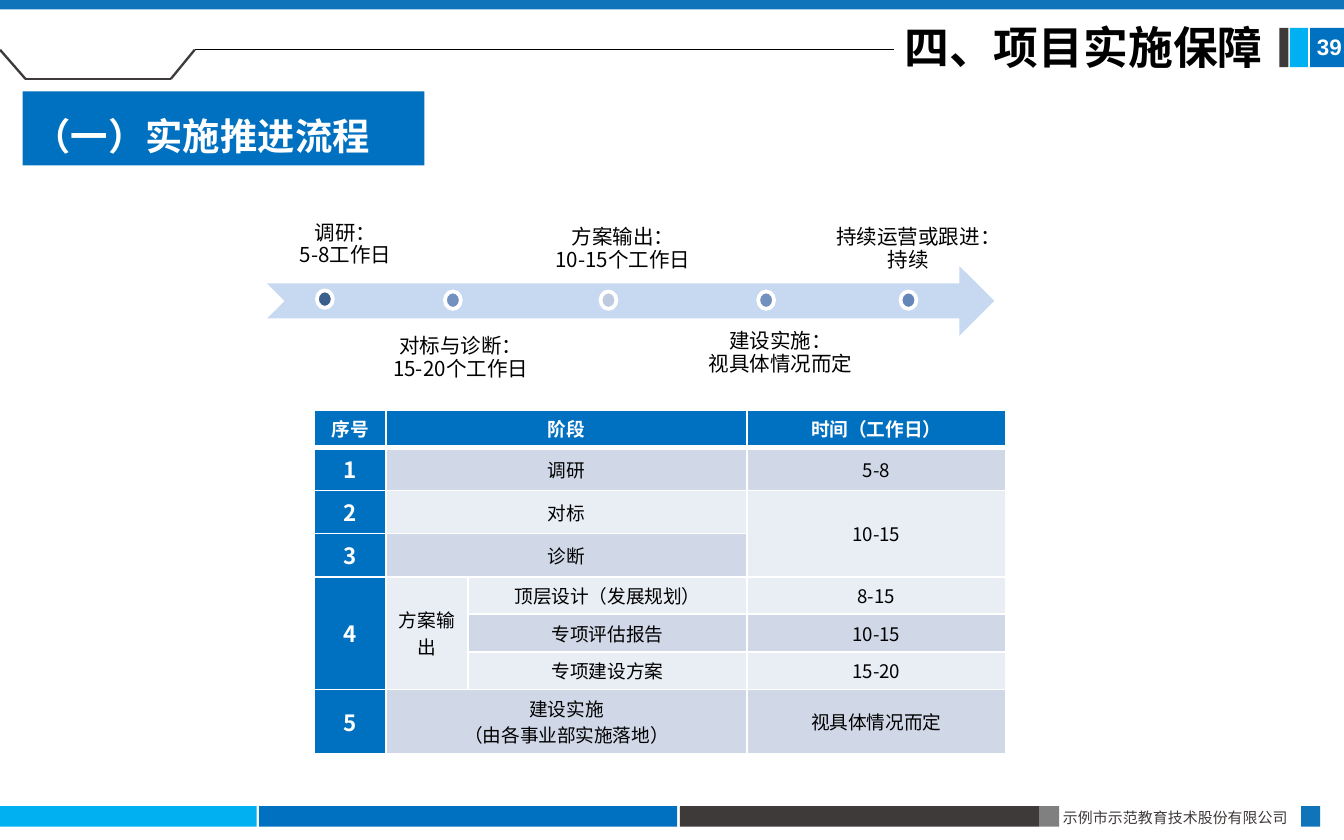
from dataclasses import dataclass
from typing import NamedTuple, Optional

from pptx import Presentation
from pptx.dml.color import RGBColor
from pptx.enum.shapes import MSO_CONNECTOR, MSO_SHAPE
from pptx.enum.text import MSO_ANCHOR, MSO_AUTO_SIZE, PP_ALIGN
from pptx.oxml.ns import qn
from pptx.util import Cm, Pt
from lxml import etree

RECT, OVAL, ARROW = MSO_SHAPE.RECTANGLE, MSO_SHAPE.OVAL, MSO_SHAPE.NOTCHED_RIGHT_ARROW
STRAIGHT = MSO_CONNECTOR.STRAIGHT
TOP, MIDDLE, BOTTOM = MSO_ANCHOR.TOP, MSO_ANCHOR.MIDDLE, MSO_ANCHOR.BOTTOM
LEFT, CENTER, JUSTIFY = PP_ALIGN.LEFT, PP_ALIGN.CENTER, PP_ALIGN.JUSTIFY
TITLE_ONLY = 5


@dataclass(frozen=True)
class Theme:
    font: str = "Noto Sans CJK SC"
    number_font: str = "Arial"
    black: str = "000000"
    white: str = "FFFFFF"
    blue: str = "0070C0"
    edge_blue: str = "1074BB"
    sky: str = "00B0F0"
    dark: str = "3E3A39"
    gray: str = "808080"
    arrow: str = "C6D9F1"
    band: str = "D0D8E8"
    band_light: str = "E9EDF4"
    title: float = 24
    section: float = 20
    number: float = 12
    label: float = 11
    cell: float = 10
    footer: float = 8


T = Theme()


class Box(NamedTuple):
    left: float
    top: float
    width: float
    height: float

    def cm(self) -> list:
        return [Cm(v) for v in self]


class Style(NamedTuple):
    size: float
    color: str = T.black
    bold: bool = False
    font: str = T.font


class Stage(NamedTuple):
    name: str
    time: str
    box: Box
    dot_left: float
    dot_top: float
    color: str
    above: bool


class Entry(NamedTuple):
    row: int
    col: int
    lines: tuple
    fill: str
    rows: int = 1
    cols: int = 1


BARS = [
    (Box(0, 15.24, 4.85, 0.39), T.sky),
    (Box(4.9, 15.24, 7.9, 0.39), T.blue),
    (Box(12.85, 15.24, 6.8, 0.39), T.dark),
    (Box(19.66, 15.24, 0.36, 0.39), T.gray),
    (Box(24.59, 15.24, 0.36, 0.39), T.edge_blue),
    (Box(24.76, 0.53, 0.65, 0.74), T.blue),
    (Box(24.38, 0.53, 0.34, 0.74), T.sky),
    (Box(24.18, 0.53, 0.17, 0.74), T.dark),
    (Box(0, 0, 25.4, 0.18), T.edge_blue),
]
TRAY = [(0, 0.94), (0.48, 1.49), (3.23, 1.49), (3.68, 0.94)]
STAGES = [
    Stage("调研：", "5-8工作日", Box(5.05, 4.06, 2.97, 1.19), 5.99, 5.49, "3A5F8C", True),
    Stage("对标与诊断：", "15-20个工作日", Box(6.88, 6.27, 3.66, 1.17), 8.41, 5.51, "7391BF", False),
    Stage("方案输出：", "10-15个工作日", Box(10.06, 4.01, 3.43, 1.32), 11.35, 5.51, "BECADF", True),
    Stage("建设实施：", "视具体情况而定", Box(13.08, 6.17, 3.35, 1.32), 14.33, 5.51, "7391BF", False),
    Stage("持续运营或跟进：", "持续", Box(15.54, 4.01, 3.25, 1.32), 17.02, 5.51, "6387B9", True),
]
COLS = [1.35, 1.55, 5.28, 4.88]
ROWS = [0.64, 0.71, 0.71, 0.71, 0.64, 0.64, 0.64, 1.07]
ENTRIES = [
    Entry(0, 0, ("序号",), T.blue),
    Entry(0, 1, ("阶段",), T.blue, cols=2),
    Entry(0, 3, ("时间（工作日）",), T.blue),
    Entry(1, 0, ("1",), T.blue),
    Entry(1, 1, ("调研",), T.band, cols=2),
    Entry(1, 3, ("5-8",), T.band),
    Entry(2, 0, ("2",), T.blue),
    Entry(2, 1, ("对标",), T.band_light, cols=2),
    Entry(2, 3, ("10-15",), T.band_light, rows=2),
    Entry(3, 0, ("3",), T.blue),
    Entry(3, 1, ("诊断",), T.band, cols=2),
    Entry(4, 0, ("4",), T.blue, rows=3),
    Entry(4, 1, ("方案输出",), T.band_light, rows=3),
    Entry(4, 2, ("顶层设计（发展规划）",), T.band_light),
    Entry(4, 3, ("8-15",), T.band_light),
    Entry(5, 2, ("专项评估报告",), T.band),
    Entry(5, 3, ("10-15",), T.band),
    Entry(6, 2, ("专项建设方案",), T.band_light),
    Entry(6, 3, ("15-20",), T.band_light),
    Entry(7, 0, ("5",), T.blue),
    Entry(7, 1, ("建设实施", "（由各事业部实施落地）"), T.band, cols=2),
    Entry(7, 3, ("视具体情况而定",), T.band),
]


def rgb(color: str) -> RGBColor:
    return RGBColor.from_string(color)


def write(tf, lines, style: Style, align=LEFT, spacing=None, after=None) -> None:
    for i, text in enumerate(lines):
        p = tf.paragraphs[0] if i == 0 else tf.add_paragraph()
        p.alignment, p.line_spacing = align, spacing
        p.space_before, p.space_after = Pt(0), after
        r = p.add_run()
        r.text = text
        r.font.size, r.font.bold, r.font.name = Pt(style.size), style.bold, style.font
        r.font.color.rgb = rgb(style.color)
        ea = etree.SubElement(r.font._element, qn("a:ea"))
        ea.set("typeface", style.font)


def set_frame(tf, anchor, inset_x: float, inset_y: float, wrap: bool = True) -> None:
    tf.auto_size, tf.word_wrap, tf.vertical_anchor = MSO_AUTO_SIZE.NONE, wrap, anchor
    tf.margin_left = tf.margin_right = Cm(inset_x)
    tf.margin_top = tf.margin_bottom = Cm(inset_y)


def add_text(s, box: Box, anchor=TOP, inset_x=0.2, inset_y=0.1, wrap=True):
    tf = s.shapes.add_textbox(*box.cm()).text_frame
    set_frame(tf, anchor, inset_x, inset_y, wrap)
    return tf


def add_shape(s, kind, box: Box, fill: str, line: Optional[str] = None):
    sp = s.shapes.add_shape(kind, *box.cm())
    sp.shadow.inherit = False
    sp.fill.solid()
    sp.fill.fore_color.rgb = rgb(fill)
    if line:
        sp.line.color.rgb, sp.line.width = rgb(line), Pt(2)
    else:
        sp.line.fill.background()
    return sp


def add_line(s, start, end, color: str, width: float) -> None:
    c = s.shapes.add_connector(STRAIGHT, *(Cm(v) for v in (*start, *end)))
    c.line.color.rgb, c.line.width = rgb(color), Pt(width)
    etree.SubElement(c._element.spPr, qn("a:effectLst"))


def set_borders(cell, row: int) -> None:
    """White rules, heavier between the header row and the body."""
    widths = {"L": 1, "R": 1, "T": 3 if row == 1 else 1, "B": 3 if row == 0 else 1}
    tcPr = cell._tc.get_or_add_tcPr()
    for side, width in widths.items():
        ln = etree.SubElement(tcPr, qn(f"a:ln{side}"), w=str(Pt(width)))
        fill = etree.SubElement(ln, qn("a:solidFill"))
        etree.SubElement(fill, qn("a:srgbClr"), val=T.white)


def add_schedule(s) -> None:
    box = Box(5.94, 7.75, sum(COLS), sum(ROWS))
    table = s.shapes.add_table(len(ROWS), len(COLS), *box.cm()).table
    for column, width in zip(table.columns, COLS):
        column.width = Cm(width)
    for row, height in zip(table.rows, ROWS):
        row.height = Cm(height)
    for e in ENTRIES:
        for i in range(e.row, e.row + e.rows):
            for j in range(e.col, e.col + e.cols):
                cell = table.cell(i, j)
                set_borders(cell, i)
                cell.fill.solid()
                cell.fill.fore_color.rgb = rgb(e.fill)
                cell.vertical_anchor = MIDDLE
                cell.margin_left = cell.margin_right = Cm(0.18)
                cell.margin_top = cell.margin_bottom = Cm(0.1)
        first = table.cell(e.row, e.col)
        if e.rows * e.cols > 1:
            first.merge(table.cell(e.row + e.rows - 1, e.col + e.cols - 1))
        strong = e.fill == T.blue
        size = T.number if strong and e.row else T.cell
        write(first.text_frame, e.lines, Style(size, T.white if strong else T.black, strong), CENTER)


def add_timeline(s) -> None:
    add_shape(s, ARROW, Box(5.05, 5.03, 13.74, 1.32), T.arrow)
    for stage in STAGES:
        tf = add_text(s, stage.box, BOTTOM if stage.above else TOP, inset_y=0.2)
        write(tf, (stage.name, stage.time), Style(T.label), CENTER, Pt(8.4), Pt(3.85))
        add_shape(s, OVAL, Box(stage.dot_left, stage.dot_top, 0.3, 0.33), stage.color, T.white)


def add_page_frame(s) -> None:
    for box, color in BARS:
        add_shape(s, RECT, box, color)
    for start, end in zip(TRAY, TRAY[1:]):
        add_line(s, start, end, T.dark, 1.25)
    add_line(s, TRAY[-1], (16.89, 0.94), T.black, 0.75)
    tf = add_text(s, Box(19.84, 15.16, 4.88, 0.61), inset_x=0.25, inset_y=0.13)
    write(tf, ["示例市示范教育技术股份有限公司"], Style(T.footer, T.dark), JUSTIFY)
    tf = add_text(s, Box(24.69, 0.53, 0.94, 0.71), wrap=False)
    write(tf, ["39"], Style(T.number, T.white, True, T.number_font))


def main() -> None:
    prs = Presentation()
    prs.slide_width, prs.slide_height = Cm(25.4), Cm(15.88)
    s = prs.slides.add_slide(prs.slide_layouts[TITLE_ONLY])
    add_page_frame(s)

    title = s.shapes.title
    title.left, title.top, title.width, title.height = Box(16.89, 0.38, 7.37, 1.12).cm()
    set_frame(title.text_frame, TOP, 0.2, 0.1)
    write(title.text_frame, ["四、项目实施保障"], Style(T.title, bold=True), spacing=0.9)

    add_schedule(s)
    add_timeline(s)
    section = add_shape(s, RECT, Box(0.43, 1.73, 7.59, 1.4), T.blue)
    set_frame(section.text_frame, MIDDLE, 0.2, 0.1)
    write(section.text_frame, ["（一）实施推进流程"], Style(T.section, T.white, True), spacing=1.3)
    prs.save("out.pptx")


if __name__ == "__main__":
    main()
